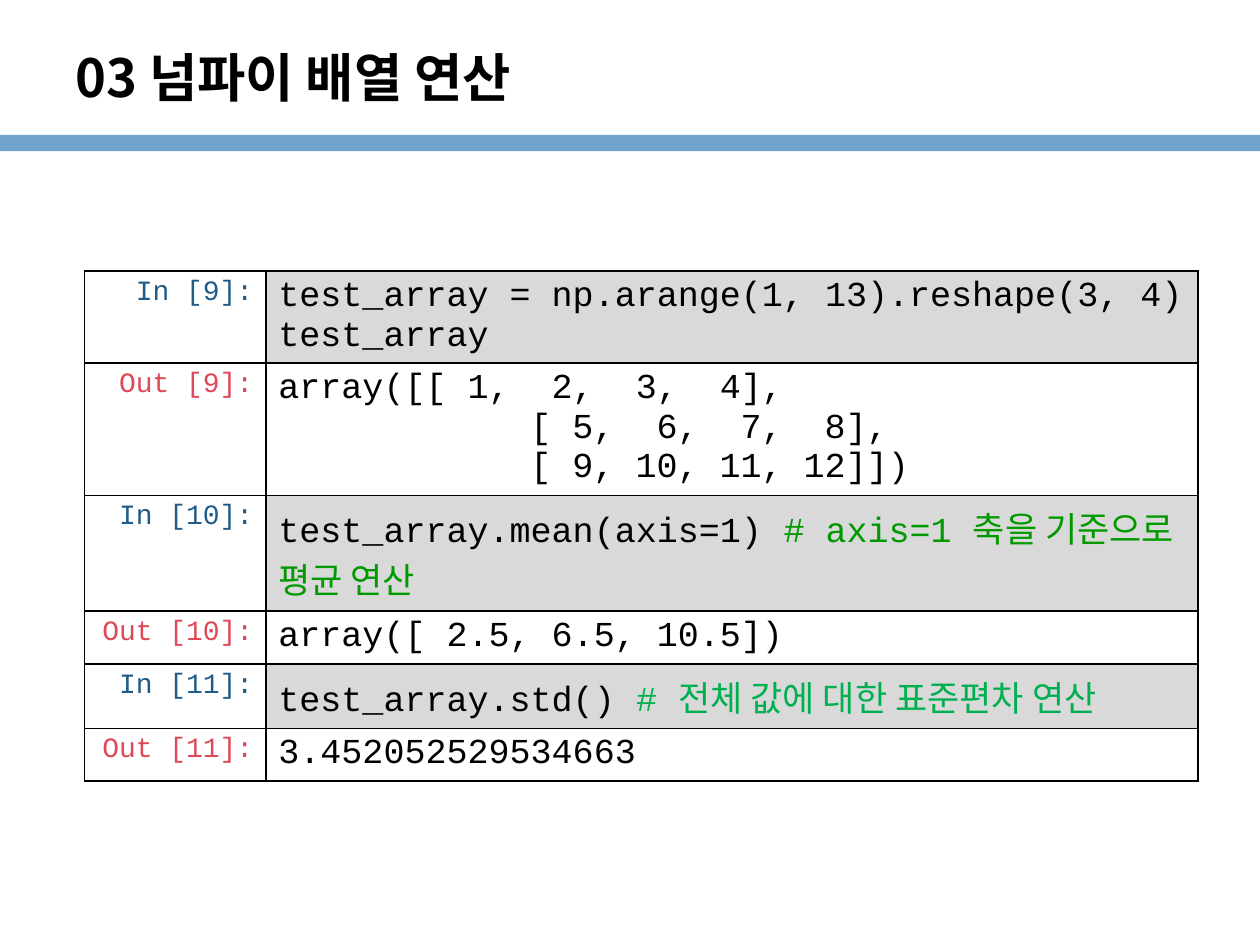
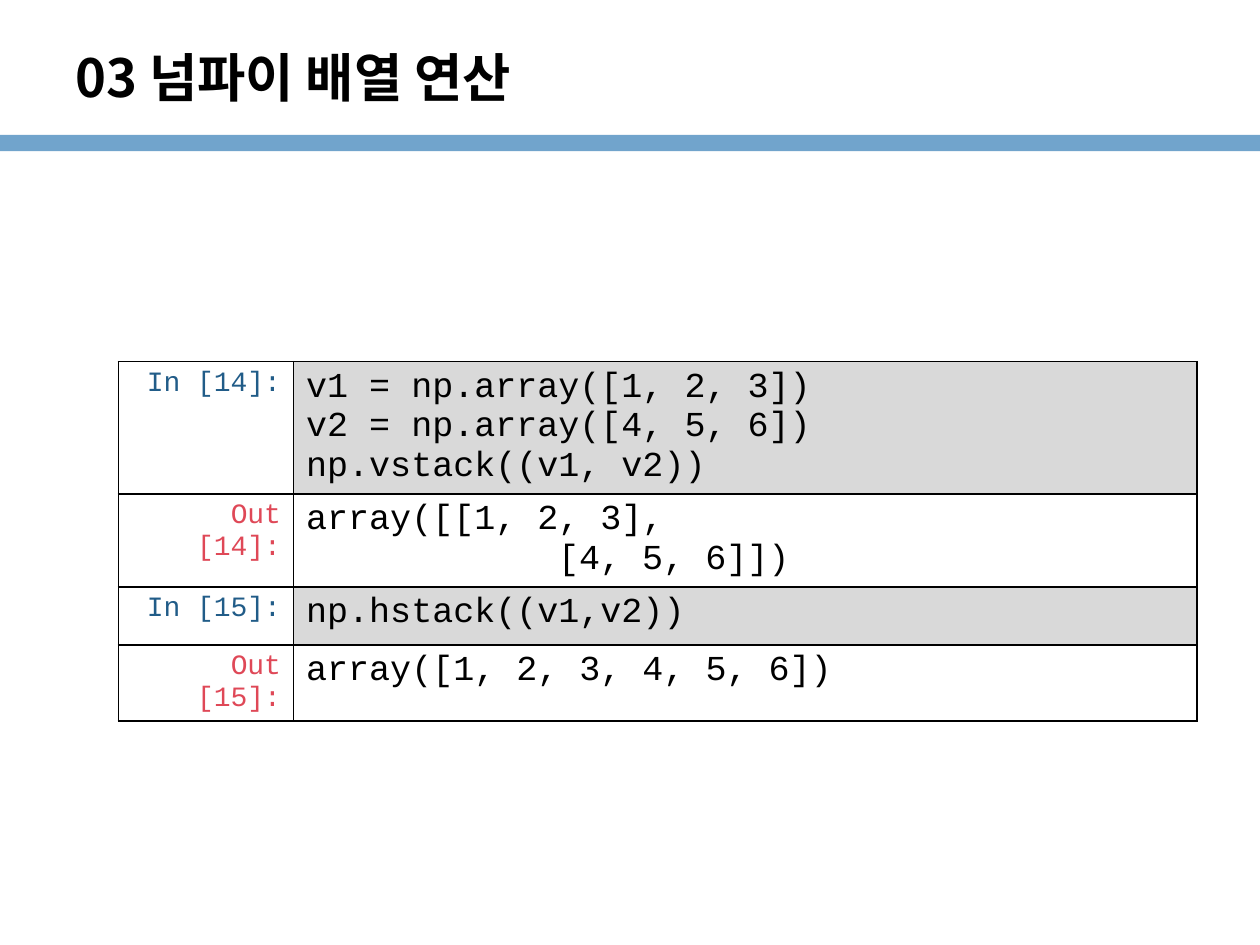
from dataclasses import dataclass
from lxml import etree
from pptx import Presentation
from pptx import util as u
from pptx.dml import color
from pptx.enum import shapes, text
from pptx.oxml import ns

TITLE = "03 넘파이 배열 연산"

PAGES = [
    {
        "at": (0.67, 2.15),
        "cols": (1.44, 7.4),
        "rows": [
            ("In", 9, 0.73, ["test_array = np.arange(1, 13).reshape(3, 4)", "test_array"]),
            ("Out", 9, 1.04, ["array([[ 1,  2,  3,  4],", "[ 5,  6,  7,  8],", "[ 9, 10, 11, 12]])"]),
            ("In", 10, 0.92, [("test_array.mean(axis=1) ", "# axis=1 축을 기준으로 평균 연산", "leaf")]),
            ("Out", 10, 0.42, ["array([ 2.5, 6.5, 10.5])"]),
            ("In", 11, 0.51, [("test_array.std() ", "# 전체 값에 대한 표준편차 연산", "mint")]),
            ("Out", 11, 0.42, ["3.452052529534663"]),
        ],
    },
    {
        "at": (0.94, 2.87),
        "cols": (1.39, 7.17),
        "rows": [
            ("In", 14, 1.04, ["v1 = np.array([1, 2, 3])", "v2 = np.array([4, 5, 6])", "np.vstack((v1, v2))"]),
            ("Out", 14, 0.74, ["array([[1, 2, 3],", "[4, 5, 6]])"]),
            ("In", 15, 0.46, ["np.hstack((v1,v2))"]),
            ("Out", 15, 0.6, ["array([1, 2, 3, 4, 5, 6])"]),
        ],
    },
]


@dataclass(frozen=True)
class Theme:
    band: str = "71A4CC"
    ink: str = "000000"
    paper: str = "FFFFFF"
    code: str = "D9D9D9"
    blue: str = "215C88"
    red: str = "DF4857"
    leaf: str = "009900"
    mint: str = "00B050"
    mono: str = "Courier New"
    sans: str = "Noto Sans CJK KR"
    head: int = 30
    body: int = 20
    label: int = 16
    rule: int = 1
    inset: float = 2


T = Theme()


def rgb(hue):
    return color.RGBColor.from_string(hue)


def paint(shape, hue):
    shape.fill.solid()
    shape.fill.fore_color.rgb = rgb(hue)


def write(par, words, size, hue, face=T.mono, bold=False):
    run = par.add_run()
    run.text = words
    form = {"name": face, "size": u.Pt(size), "bold": bold}
    for key, val in form.items():
        setattr(run.font, key, val)
    run.font.color.rgb = rgb(hue)
    east = etree.SubElement(run.font._element, ns.qn("a:ea"))
    east.set("typeface", T.sans)


def border(cell):
    props = cell._tc.get_or_add_tcPr()
    for side in ("lnL", "lnR", "lnT", "lnB"):
        line = etree.SubElement(props, ns.qn(f"a:{side}"), w=str(u.Pt(T.rule)))
        fill = etree.SubElement(line, ns.qn("a:solidFill"))
        etree.SubElement(fill, ns.qn("a:srgbClr"), val=T.ink)


def frame(slide):
    band = slide.shapes.add_shape(
        shapes.MSO_SHAPE.RECTANGLE, 0, u.Inches(1.07), u.Inches(10), u.Inches(0.13))
    band.shadow.inherit = False
    paint(band, T.band)
    band.line.fill.background()
    box = slide.shapes.add_textbox(*map(u.Inches, (0.5, 0.3, 7.83, 0.62))).text_frame
    form = {"word_wrap": True, "vertical_anchor": text.MSO_ANCHOR.MIDDLE}
    for key, val in form.items():
        setattr(box, key, val)
    write(box.paragraphs[0], TITLE, T.head, T.ink, T.sans, True)


def fill_code(cell, kind, lines):
    for i, line in enumerate(lines):
        par = cell.text_frame.paragraphs[0] if i == 0 else cell.text_frame.add_paragraph()
        if kind == "Out" and i > 0:
            par._p.get_or_add_pPr().set("marL", str(u.Inches(T.inset)))
        if isinstance(line, tuple):
            line, note, hue = line
            write(par, line, T.body, T.ink)
            write(par, note, T.body, getattr(T, hue))
        else:
            write(par, line, T.body, T.ink)


def add_cells(slide, page):
    rows, cols = page["rows"], page["cols"]
    high = sum(row[2] for row in rows)
    spot = map(u.Inches, (*page["at"], sum(cols), high))
    table = slide.shapes.add_table(len(rows), len(cols), *spot).table
    for key in ("first_row", "horz_banding"):
        setattr(table, key, False)
    for col, wide in zip(table.columns, cols):
        col.width = u.Inches(wide)
    for row, (kind, num, tall, lines) in zip(table.rows, rows):
        row.height = u.Inches(tall)
        tag, code = row.cells
        for cell in (tag, code):
            cell.margin_bottom = 0
            border(cell)
        paint(tag, T.paper)
        paint(code, T.code if kind == "In" else T.paper)
        par = tag.text_frame.paragraphs[0]
        par.alignment = text.PP_ALIGN.RIGHT
        write(par, f"{kind} [{num}]:", T.label, T.blue if kind == "In" else T.red)
        fill_code(code, kind, lines)


def main():
    deck = Presentation()
    deck.slide_width, deck.slide_height = u.Inches(10), u.Inches(7.5)
    for page in PAGES:
        slide = deck.slides.add_slide(deck.slide_layouts[6])
        frame(slide)
        add_cells(slide, page)
    deck.save("out.pptx")


if __name__ == "__main__":
    main()
